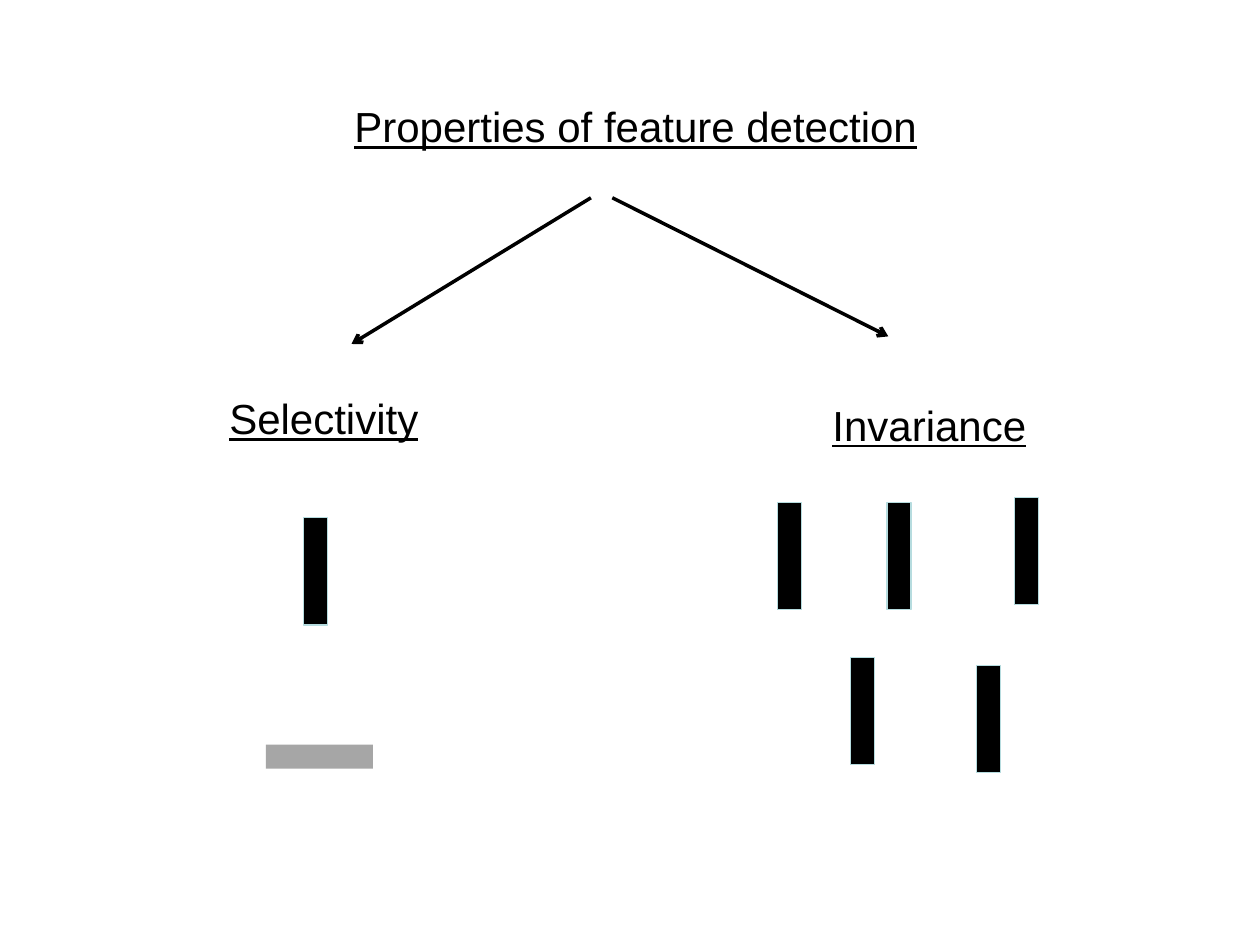
from dataclasses import dataclass

from lxml.etree import SubElement
from pptx import Presentation
from pptx.dml.color import RGBColor
from pptx.enum.shapes import MSO_CONNECTOR, MSO_SHAPE
from pptx.enum.text import MSO_ANCHOR, MSO_AUTO_SIZE, PP_ALIGN
from pptx.oxml.ns import qn
from pptx.util import Inches, Pt


@dataclass(frozen=True)
class Theme:
    font: str = "Arial"
    text_size: int = 24
    ink: str = "000000"
    muted: str = "A6A6A6"
    bar_edge: str = "B6DCDF"
    background: str = "FFFFFF"
    bar_edge_width: float = 0.75
    arrow_width: float = 2


THEME = Theme()
TITLE = ("Properties of feature detection", (2.69, 0.75, 4.71, 0.5))
HEADINGS = [
    ("Selectivity", (1.71, 3.07, 1.72, 0.5)),
    ("Invariance", (6.5, 3.12, 1.75, 0.5)),
]
ARROWS = [((4.69, 1.57), (2.79, 2.73)), ((4.86, 1.57), (7.05, 2.67))]

BAR_THICKNESS, BAR_LENGTH = 0.19, 0.85
PREFERRED_BAR = (2.41, 4.11)
REJECTED_BAR = (2.11, 5.91)
INVARIANT_BARS = [(6.17, 3.99), (7.04, 3.99), (8.05, 3.95), (6.75, 5.22), (7.75, 5.28)]


def color(value):
    return RGBColor.from_string(value)


def write_text(shape, text, size=THEME.text_size, ink=THEME.ink,
               underline=True, align=PP_ALIGN.CENTER):
    frame = shape.text_frame
    frame.word_wrap = False
    frame.auto_size = MSO_AUTO_SIZE.SHAPE_TO_FIT_TEXT
    frame.vertical_anchor = MSO_ANCHOR.TOP
    paragraph = frame.paragraphs[0]
    paragraph.alignment = align
    run = paragraph.add_run()
    run.text = text
    run.font.name = THEME.font
    run.font.size = Pt(size)
    run.font.underline = underline
    run.font.color.rgb = color(ink)


def add_arrow(slide, start, end):
    connector = slide.shapes.add_connector(
        MSO_CONNECTOR.STRAIGHT, *(Inches(value) for value in start + end))
    connector.line.color.rgb = color(THEME.ink)
    connector.line.width = Pt(THEME.arrow_width)
    SubElement(connector.line._get_or_add_ln(), qn("a:tailEnd"), type="arrow")
    SubElement(connector._element.spPr, qn("a:effectLst"))


def add_bar(slide, position, width=BAR_THICKNESS, height=BAR_LENGTH,
            fill=THEME.ink, edge=THEME.bar_edge):
    box = (Inches(value) for value in (*position, width, height))
    bar = slide.shapes.add_shape(MSO_SHAPE.RECTANGLE, *box)
    bar.shadow.inherit = False
    bar.fill.solid()
    bar.fill.fore_color.rgb = color(fill)
    if edge:
        bar.line.color.rgb = color(edge)
        bar.line.width = Pt(THEME.bar_edge_width)
    else:
        bar.line.fill.background()


def main():
    presentation = Presentation()
    presentation.slide_width, presentation.slide_height = Inches(10), Inches(7.5)
    slide = presentation.slides.add_slide(
        presentation.slide_layouts.get_by_name("Title Only"))
    slide.background.fill.solid()
    slide.background.fill.fore_color.rgb = color(THEME.background)

    text, box = TITLE
    title = slide.shapes.title
    title.left, title.top, title.width, title.height = map(Inches, box)
    write_text(title, text)
    for text, box in HEADINGS:
        write_text(slide.shapes.add_textbox(*map(Inches, box)), text)

    for start, end in ARROWS:
        add_arrow(slide, start, end)

    add_bar(slide, PREFERRED_BAR)
    add_bar(slide, REJECTED_BAR, width=BAR_LENGTH, height=BAR_THICKNESS,
            fill=THEME.muted, edge=None)
    for position in INVARIANT_BARS:
        add_bar(slide, position)

    presentation.save("out.pptx")


if __name__ == "__main__":
    main()
